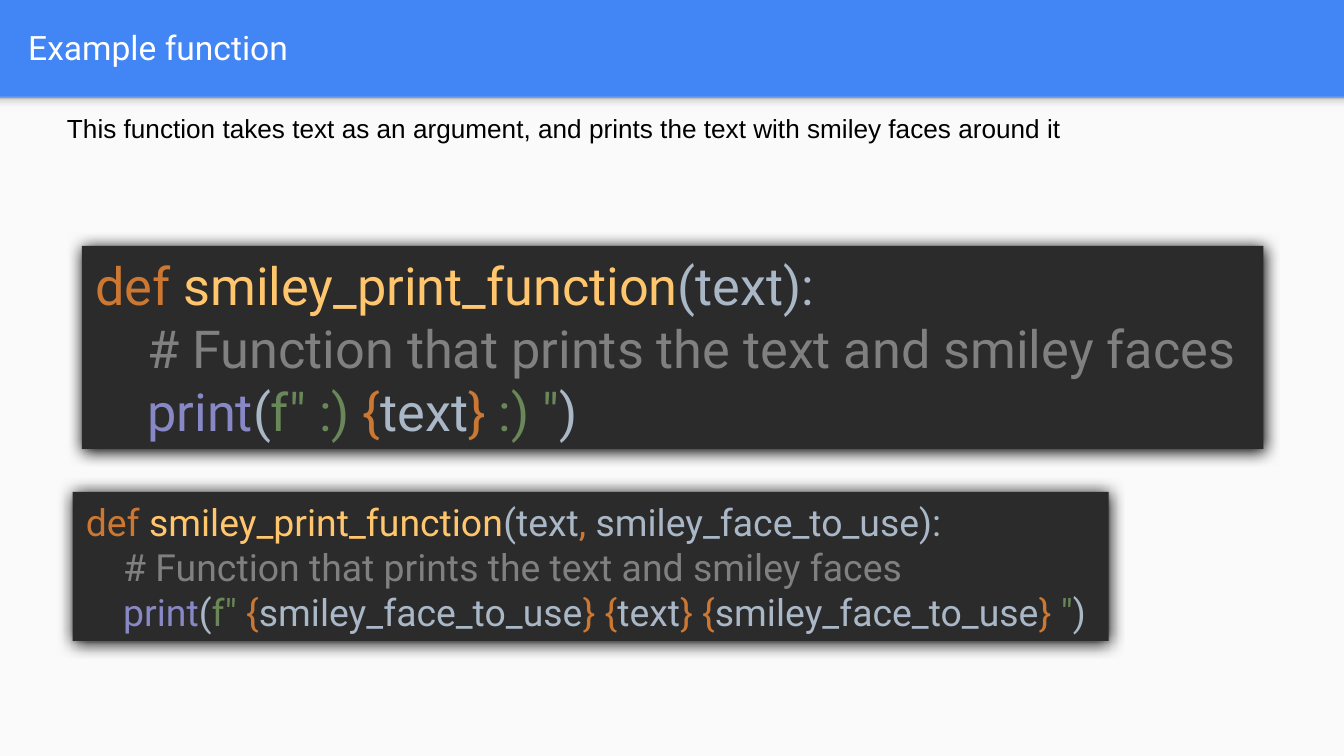
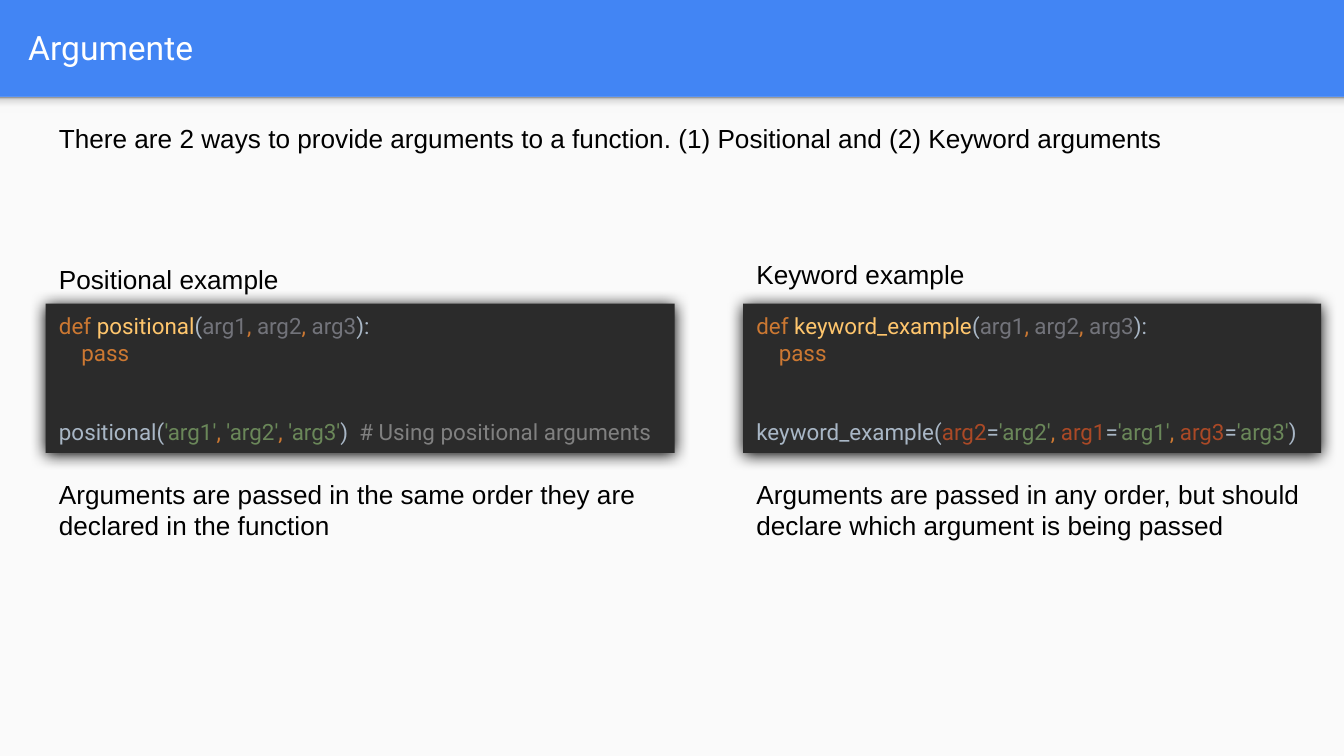
import lxml.etree
import pptx
import pptx.dml.color
import pptx.enum.shapes
import pptx.enum.text
import pptx.oxml
import pptx.oxml.ns
import pptx.util

Inches = pptx.util.Inches
Pt = pptx.util.Pt

COLORS = {
    "band": "4285F4",
    "panel": "FAFAFA",
    "title": "FFFFFF",
    "body": "000000",
    "editor": "2B2B2B",
    "keyword": "CC7832",
    "function": "FFC66D",
    "plain": "A9B7C6",
    "comment": "808080",
    "builtin": "8888C6",
    "string": "6A8759",
    "unused": "72737A",
    "named": "AA4926",
}
EDGE_STOPS = [(0, "F9F9F9"), (36, "F9F9F9"), (80, "DEDEDE"), (100, "999999")]
BAND_HEIGHT = 0.72
SLIDE_WIDTH = 10
SLIDE_HEIGHT = SLIDE_WIDTH * 9 / 16
COMMENT = ("comment", "# Function that prints the text and smiley faces")
COMMA = ("keyword", ", ")


def rgb(name):
    return pptx.dml.color.RGBColor.from_string(COLORS[name])


def box(left, top, width, height):
    return [Inches(length) for length in (left, top, width, height)]


def add_run(paragraph, text, font, size, color):
    run = paragraph.add_run()
    run.text = text
    run.font.name = font
    run.font.size = Pt(size)
    run.font.color.rgb = rgb(color)


def add_rectangle(slide, bounds, color):
    rectangle = slide.shapes.add_shape(
        pptx.enum.shapes.MSO_SHAPE.RECTANGLE, *box(*bounds))
    rectangle.shadow.inherit = False
    rectangle.fill.solid()
    rectangle.fill.fore_color.rgb = rgb(color)
    rectangle.line.fill.background()
    return rectangle


def fade_upward(edge):
    edge.fill.gradient()
    edge.fill.gradient_angle = 90
    stops = edge.element.spPr.find(".//" + pptx.oxml.ns.qn("a:gsLst"))
    for stop in list(stops):
        stops.remove(stop)
    for percent, color in EDGE_STOPS:
        stop = lxml.etree.SubElement(
            stops, pptx.oxml.ns.qn("a:gs"), pos=str(percent * 1000))
        lxml.etree.SubElement(stop, pptx.oxml.ns.qn("a:srgbClr"), val=color)


def cast_shadow(shape):
    effects = shape.element.spPr.find(pptx.oxml.ns.qn("a:effectLst"))
    shadow = lxml.etree.SubElement(
        effects, pptx.oxml.ns.qn("a:outerShdw"),
        blurRad=str(Pt(8.5)), dist=str(Pt(1)), dir="5400000",
        algn="ctr", rotWithShape="0")
    lxml.etree.SubElement(
        shadow, pptx.oxml.ns.qn("a:srgbClr"), val=COLORS["body"])


def style_layout(layout, slide):
    layout.background.fill.solid()
    layout.background.fill.fore_color.rgb = rgb("band")
    for placeholder in list(layout.placeholders):
        if placeholder.placeholder_format.idx != 0:
            layout.shapes.element.remove(placeholder.element)
    panel = add_rectangle(
        slide, (0, BAND_HEIGHT, SLIDE_WIDTH, SLIDE_HEIGHT - BAND_HEIGHT), "panel")
    edge = add_rectangle(slide, (0, BAND_HEIGHT, SLIDE_WIDTH, 0.12), "panel")
    fade_upward(edge)
    for part in (panel, edge):
        layout.shapes.element.append(part.element)


def set_title(slide, text):
    title = slide.shapes.title
    title.left, title.top, title.width, title.height = box(0.11, 0.02, 9.65, 0.66)
    frame = title.text_frame
    frame.vertical_anchor = pptx.enum.text.MSO_ANCHOR.MIDDLE
    frame.margin_left = frame.margin_right = Inches(0.1)
    frame.margin_top = frame.margin_bottom = Inches(0.1)
    paragraph = frame.paragraphs[0]
    paragraph.alignment = pptx.enum.text.PP_ALIGN.LEFT
    add_run(paragraph, text, "Roboto", 18, "title")


def add_note(slide, bounds, text):
    frame = slide.shapes.add_textbox(*box(*bounds)).text_frame
    frame.word_wrap = True
    frame.auto_size = pptx.enum.text.MSO_AUTO_SIZE.SHAPE_TO_FIT_TEXT
    add_run(frame.paragraphs[0], text, "Arial", 14, "body")


def add_code(slide, bounds, size, lines):
    editor = add_rectangle(slide, bounds, "editor")
    cast_shadow(editor)
    frame = editor.text_frame
    frame.word_wrap = False
    frame.auto_size = pptx.enum.text.MSO_AUTO_SIZE.SHAPE_TO_FIT_TEXT
    frame.vertical_anchor = pptx.enum.text.MSO_ANCHOR.MIDDLE
    for index, (indent, space_before, tokens) in enumerate(lines):
        paragraph = frame.add_paragraph() if index else frame.paragraphs[0]
        paragraph.alignment = pptx.enum.text.PP_ALIGN.LEFT
        paragraph.space_before = Pt(space_before)
        paragraph._p.get_or_add_pPr().set("marL", str(Pt(size * indent)))
        for color, text in tokens:
            add_run(paragraph, text, "Roboto", size, color)


def smiley_lines(parameters, printed):
    signature = [("keyword", "def "), ("function", "smiley_print_function"),
                 *parameters]
    call = [("builtin", "print"), ("plain", "("), *printed, ("plain", ")")]
    return [(0, 0, signature), (1, 0, [COMMENT]), (1, 0, call)]


def comma_separated(groups):
    tokens = list(groups[0])
    for group in groups[1:]:
        tokens += [COMMA, *group]
    return tokens


def argument_lines(name, passed, ending):
    parameters = comma_separated([[("unused", f"arg{n}")] for n in (1, 2, 3)])
    signature = [("keyword", "def "), ("function", name), ("plain", "("),
                 *parameters, ("plain", "):")]
    call = [("plain", name + "("), *comma_separated(passed), *ending]
    return [(0, 0, signature), (1, 0, [("keyword", "pass")]), (0, 28, call)]


def fill_example_slide(slide):
    set_title(slide, "Example function")
    add_code(slide, (0.61, 1.83, 8.79, 1.51), 28, smiley_lines(
        [("plain", "(text):")],
        [("string", 'f" :) '), ("keyword", "{"), ("plain", "text"),
         ("keyword", "}"), ("string", ' :) "')]))
    add_note(slide, (0.4, 0.79, 7.99, 0.34),
             "This function takes text as an argument, and prints the text "
             "with smiley faces around it")
    face = ("plain", "smiley_face_to_use")
    add_code(slide, (0.54, 3.66, 7.71, 1.11), 20, smiley_lines(
        [("plain", "(text"), COMMA, ("plain", "smiley_face_to_use):")],
        [("string", 'f" '), ("keyword", "{"), face, ("keyword", "} {"),
         ("plain", "text"), ("keyword", "} {"), face, ("keyword", "} "),
         ("string", '"')]))


def fill_arguments_slide(slide):
    set_title(slide, "Argumente")
    left, right = 0.34, 5.53
    add_note(slide, (left, 0.86, 9.17, 0.34),
             "There are 2 ways to provide arguments to a function. "
             "(1) Positional and (2) Keyword arguments")
    positional = [[("string", f"'arg{n}'")] for n in (1, 2, 3)]
    named = [[("named", f"arg{n}"), ("plain", "="), ("string", f"'arg{n}'")]
             for n in (2, 1, 3)]
    add_code(slide, (left, 2.26, 4.68, 1.11), 12, argument_lines(
        "positional", positional,
        [("plain", ")  "), ("comment", "# Using positional arguments")]))
    add_code(slide, (right, 2.26, 4.3, 1.11), 12, argument_lines(
        "keyword_example", named, [("plain", ")")]))
    add_note(slide, (left, 1.91, 3.13, 0.34), "Positional example")
    add_note(slide, (right, 1.87, 3.63, 0.34), "Keyword example")
    add_note(slide, (left, 3.51, 4.66, 0.57),
             "Arguments are passed in the same order they are declared "
             "in the function")
    add_note(slide, (right, 3.51, 4.4, 0.57),
             "Arguments are passed in any order, but should declare which "
             "argument is being passed")


def main():
    deck = pptx.Presentation()
    deck.slide_width = Inches(SLIDE_WIDTH)
    deck.slide_height = Inches(SLIDE_HEIGHT)
    layout = deck.slide_layouts[5]
    example = deck.slides.add_slide(layout)
    style_layout(layout, example)
    fill_example_slide(example)
    fill_arguments_slide(deck.slides.add_slide(layout))
    deck.save("out.pptx")


if __name__ == "__main__":
    main()
